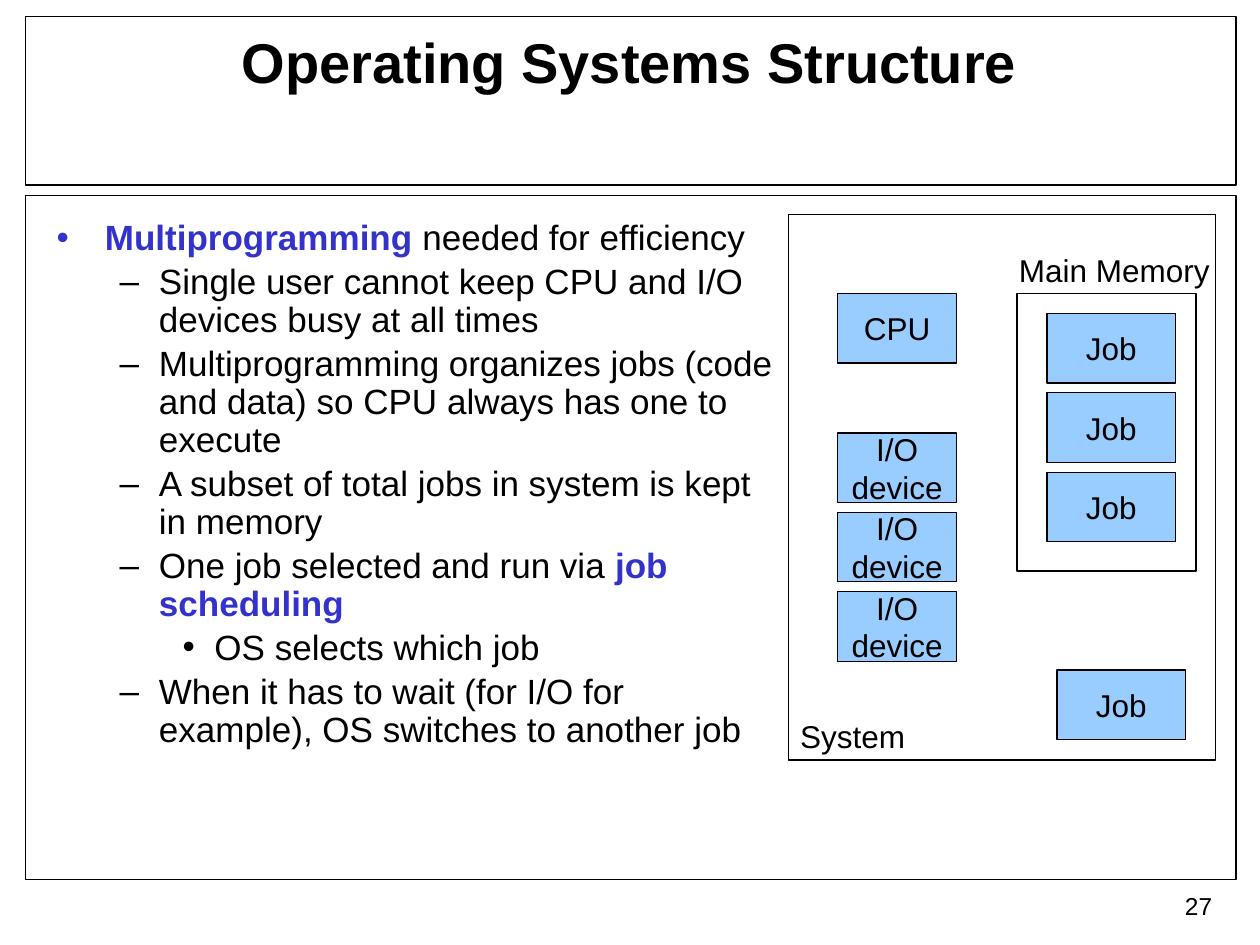
from lxml import etree
from pptx import Presentation
from pptx import util as u
from pptx.dml.color import RGBColor
from pptx.enum import shapes, text
from pptx.oxml.ns import qn

HUES = {"ink": "000000", "key": "3333CC", "box": "99CCFF"}
LEVELS = [("•", 0.97, 0.97), ("–", 2.06, 0.79), ("•", 3.18, 0.64)]
POINTS = [
    (0, [("Multiprogramming", True), (" needed for efficiency", False)]),
    (1, [("Single user cannot keep CPU and I/O devices busy at all times", False)]),
    (1, [("Multiprogramming organizes jobs (code and data) so CPU always has one to execute", False)]),
    (1, [("A subset of total jobs in system is kept in memory", False)]),
    (1, [("One job selected and run via ", False), ("job scheduling", True)]),
    (2, [("OS selects which job", False)]),
    (1, [("When it has to wait (for I/O for example), OS switches to another job", False)]),
]


class Deck:
    def __init__(self):
        self.prs = Presentation()
        self.prs.slide_width = u.Cm(25.4)
        self.prs.slide_height = u.Cm(19.05)
        self.slide = self.prs.slides.add_slide(self.prs.slide_layouts[1])

    def hue(self, name):
        return RGBColor.from_string(HUES[name])

    def style(self, item, values):
        for name, value in values.items():
            setattr(item, name, value)

    def font(self, font, size, hue="ink", bold=False):
        self.style(font, {"name": "Arial", "size": u.Pt(size), "bold": bold})
        font.color.rgb = self.hue(hue)

    def place(self, item, area):
        sides = ("left", "top", "width", "height")
        self.style(item, {side: u.Cm(n) for side, n in zip(sides, area)})

    def letter(self, frame, words, size, align, anchor, wrap, bold=False):
        self.style(frame, {
            "text": words, "word_wrap": wrap, "vertical_anchor": anchor,
            "auto_size": text.MSO_AUTO_SIZE.NONE,
        })
        for para in frame.paragraphs:
            para.alignment = align
            for run in para.runs:
                self.font(run.font, size, bold=bold)

    def title(self, words, *area):
        item = self.slide.shapes.title
        self.place(item, area)
        self.letter(item.text_frame, words, 32, text.PP_ALIGN.CENTER,
                    text.MSO_ANCHOR.TOP, True, True)

    def body(self, points, *area):
        item = self.slide.placeholders[1]
        self.place(item, area)
        frame = item.text_frame
        self.style(frame, {"word_wrap": True, "auto_size": text.MSO_AUTO_SIZE.NONE})
        for i, (level, runs) in enumerate(points):
            para = frame.add_paragraph() if i else frame.paragraphs[0]
            mark, left, hang = LEVELS[level]
            props = para._p.get_or_add_pPr()
            props.set("marL", str(u.Cm(left)))
            props.set("indent", str(-u.Cm(hang)))
            etree.SubElement(props, qn("a:buChar")).set("char", mark)
            self.style(para, {
                "level": level, "line_spacing": 0.9,
                "space_before": u.Pt(3.6 if i else 0),
            })
            for words, key in runs:
                run = para.add_run()
                run.text = words
                self.font(run.font, 20, "key" if key else "ink", key)

    def rect(self, *area, words="", fill=None):
        item = self.slide.shapes.add_shape(
            shapes.MSO_SHAPE.RECTANGLE, *map(u.Cm, area))
        item.shadow.inherit = False
        item.line.color.rgb = self.hue("ink")
        item.line.width = u.Pt(0.75)
        if fill:
            item.fill.solid()
            item.fill.fore_color.rgb = self.hue(fill)
        else:
            item.fill.background()
        if words:
            self.letter(item.text_frame, words, 18, text.PP_ALIGN.CENTER,
                        text.MSO_ANCHOR.MIDDLE, False)
        return item

    def frame(self, *area):
        item = self.rect(*area)
        self.slide.shapes._spTree.insert(2, item._element)

    def label(self, words, *area, size=18, align=text.PP_ALIGN.LEFT):
        item = self.slide.shapes.add_textbox(*map(u.Cm, area))
        self.letter(item.text_frame, words, size, align, text.MSO_ANCHOR.TOP, True)


def main():
    deck = Deck()
    deck.frame(0.51, 3.94, 24.41, 13.79)
    deck.frame(0.51, 0.33, 24.41, 3.4)
    deck.title("Operating Systems Structure", 0.89, 0.43, 23.6, 3.18)
    deck.body(POINTS, 0.89, 4.32, 15.19, 13)
    deck.label("27", 22.05, 17.83, 2.64, 0.86, size=14, align=text.PP_ALIGN.RIGHT)

    deck.rect(15.9, 4.32, 8.61, 11)
    deck.label("System", 15.88, 14.33, 2.7, 1.12)
    deck.rect(20.5, 5.92, 3.61, 5.59)
    deck.label("Main Memory", 20.29, 4.93, 4.5, 1.12)
    deck.rect(16.89, 5.92, 2.39, 1.4, words="CPU", fill="box")
    for i in range(3):
        deck.rect(21.11, 6.32 + 1.6 * i, 2.59, 1.4, words="Job", fill="box")
        deck.rect(16.89, 8.73 + 1.6 * i, 2.39, 1.4, words="I/O\vdevice", fill="box")
    deck.rect(21.31, 13.51, 2.59, 1.4, words="Job", fill="box")
    deck.prs.save("out.pptx")


if __name__ == "__main__":
    main()
